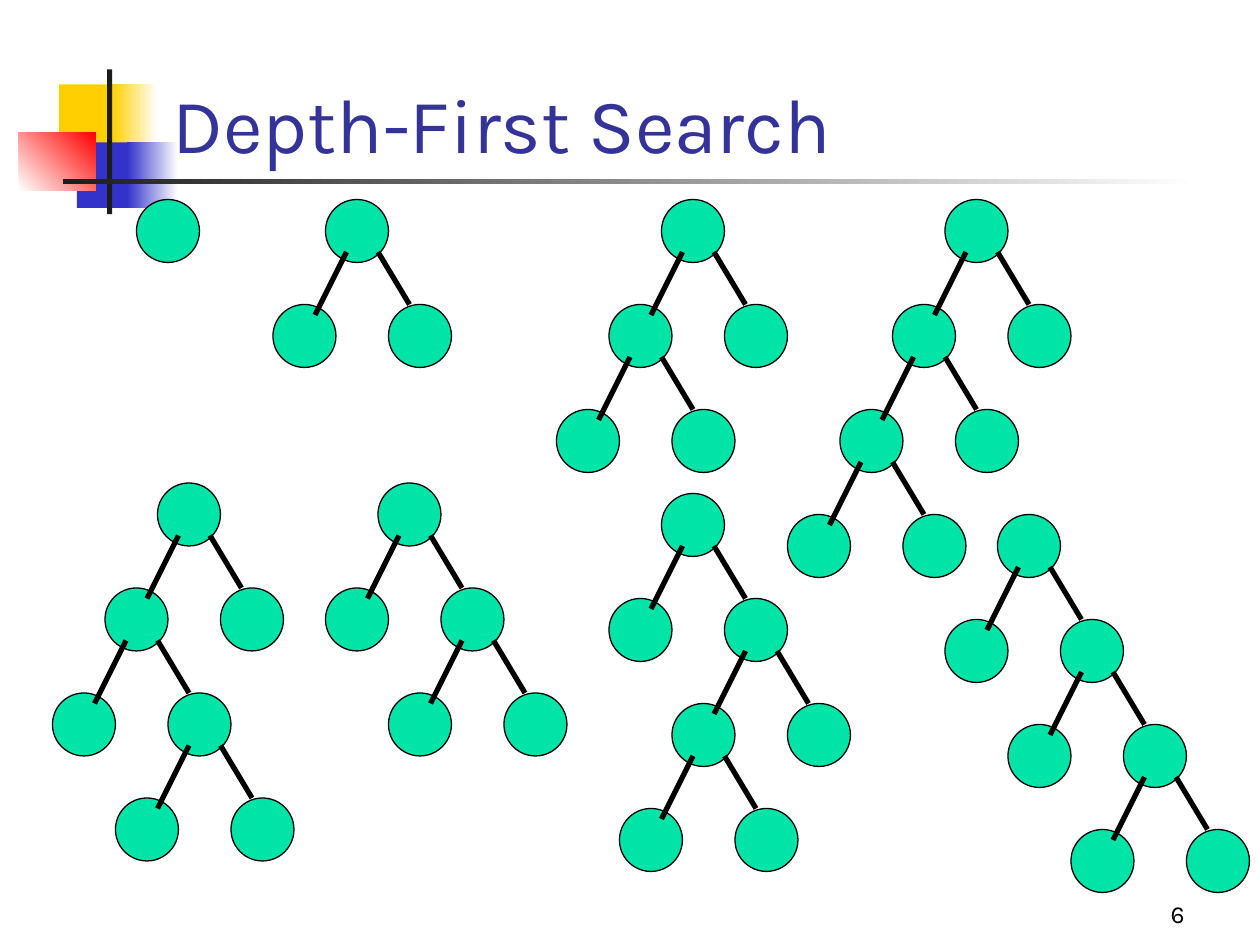
from pptx import Presentation
from pptx.dml.color import RGBColor
from pptx.enum.shapes import MSO_CONNECTOR, MSO_SHAPE
from pptx.enum.text import MSO_ANCHOR, PP_ALIGN
from pptx.oxml.ns import qn
from pptx.util import Inches, Pt
from lxml.etree import SubElement

COLORS = {
    "yellow": "FFCF01",
    "blue": "3333CC",
    "red": "FF0000",
    "dark": "1C1C1C",
    "white": "FFFFFF",
    "title": "333399",
    "node": "00E4A8",
    "black": "000000",
}
FONT = "Karla"

# The trees sit on a grid of twelfths of an inch.
UNIT = 1 / 12
NODE_SIZE = 6 * UNIT
# For each side: offset of the child, then start and end of its edge,
# all measured from the top left corner of the parent node.
BRANCHES = {
    "L": ((-5, 10), (2, 5), (-1, 11)),
    "R": ((6, 10), (5, 5), (8, 10)),
}
# Left and top of each root in grid units, and the children expanded below it.
TREES = [
    (63, 19, "L"),
    (90, 19, "LL"),
    (31, 19, ""),
    (15, 46, "LR"),
    (36, 46, "R"),
    (63, 47, "RL"),
    (95, 49, "RR"),
]


def rgb(name):
    return RGBColor.from_string(COLORS[name])


def add_filled_shape(shapes, kind, left, top, width, height, color):
    shape = shapes.add_shape(
        kind, Inches(left), Inches(top), Inches(width), Inches(height)
    )
    shape.shadow.inherit = False
    shape.fill.solid()
    shape.fill.fore_color.rgb = rgb(color)
    shape.line.fill.background()
    return shape


def add_gradient_block(shapes, left, top, width, height, start, end, angle=0):
    block = add_filled_shape(
        shapes, MSO_SHAPE.RECTANGLE, left, top, width, height, start
    )
    block.fill.gradient()
    block.fill.gradient_angle = angle
    for stop, color, position in zip(block.fill.gradient_stops, (start, end), (0, 1)):
        stop.color.rgb = rgb(color)
        stop.position = position


def add_text(slide, text, left, top, width, height, *, size, color,
             align=PP_ALIGN.LEFT):
    box = slide.shapes.add_textbox(
        Inches(left), Inches(top), Inches(width), Inches(height)
    )
    frame = box.text_frame
    frame.word_wrap = True
    frame.vertical_anchor = MSO_ANCHOR.BOTTOM
    paragraph = frame.paragraphs[0]
    paragraph.text = text
    paragraph.alignment = align
    paragraph.font.name = FONT
    paragraph.font.size = Pt(size)
    paragraph.font.color.rgb = rgb(color)


def add_ornament(slide, left, top):
    """Overlapping colour blocks with a cross of two dark bars."""
    shapes = slide.shapes
    rectangle = MSO_SHAPE.RECTANGLE
    add_filled_shape(shapes, rectangle, left + 0.32, top + 0.12, 0.48, 0.52, "yellow")
    add_gradient_block(shapes, left + 0.74, top + 0.12, 0.36, 0.52, "yellow", "white")
    add_filled_shape(shapes, rectangle, left + 0.46, top + 0.58, 0.46, 0.52, "blue")
    add_gradient_block(shapes, left + 0.86, top + 0.58, 0.4, 0.52, "blue", "white")
    add_gradient_block(shapes, left, top + 0.5, 0.61, 0.46, "white", "red", 45)
    add_filled_shape(shapes, rectangle, left + 0.7, top, 0.04, 1.15, "dark")
    add_gradient_block(shapes, left + 0.35, top + 0.87, 9, 0.04, "dark", "white")


def add_node(shapes, column, row):
    node = add_filled_shape(
        shapes, MSO_SHAPE.OVAL, column * UNIT, row * UNIT,
        NODE_SIZE, NODE_SIZE, "node",
    )
    node.line.color.rgb = rgb("black")
    node.line.width = Pt(0.75)


def add_edge(shapes, column, row, start, end):
    points = [
        Inches(value * UNIT)
        for dx, dy in (start, end)
        for value in (column + dx, row + dy)
    ]
    edge = shapes.add_connector(MSO_CONNECTOR.STRAIGHT, *points)
    edge.line.color.rgb = rgb("black")
    edge.line.width = Pt(3)
    SubElement(edge._element.spPr, qn("a:effectLst"))


def add_tree(slide, column, row, expanded):
    """Draw a root with two children, then expand one child per letter."""
    shapes = slide.shapes.add_group_shape().shapes
    add_node(shapes, column, row)
    for side in expanded + "L":
        for (dx, dy), _, _ in BRANCHES.values():
            add_node(shapes, column + dx, row + dy)
        for _, start, end in BRANCHES.values():
            add_edge(shapes, column, row, start, end)
        dx, dy = BRANCHES[side][0]
        column, row = column + dx, row + dy


def main():
    presentation = Presentation()
    presentation.slide_width = Inches(10)
    presentation.slide_height = Inches(7.5)
    slide = presentation.slides.add_slide(presentation.slide_layouts[6])

    add_ornament(slide, 0.15, 0.55)
    add_text(slide, "6", 7.42, 6.92, 2.08, 0.5,
             size=14, color="black", align=PP_ALIGN.RIGHT)
    add_text(slide, "Depth-First Search", 1.27, 0.14, 8.52, 1.25,
             size=44, color="title")
    add_node(slide.shapes, 13, 19)
    for column, row, expanded in TREES:
        add_tree(slide, column, row, expanded)

    presentation.save("out.pptx")


if __name__ == "__main__":
    main()
